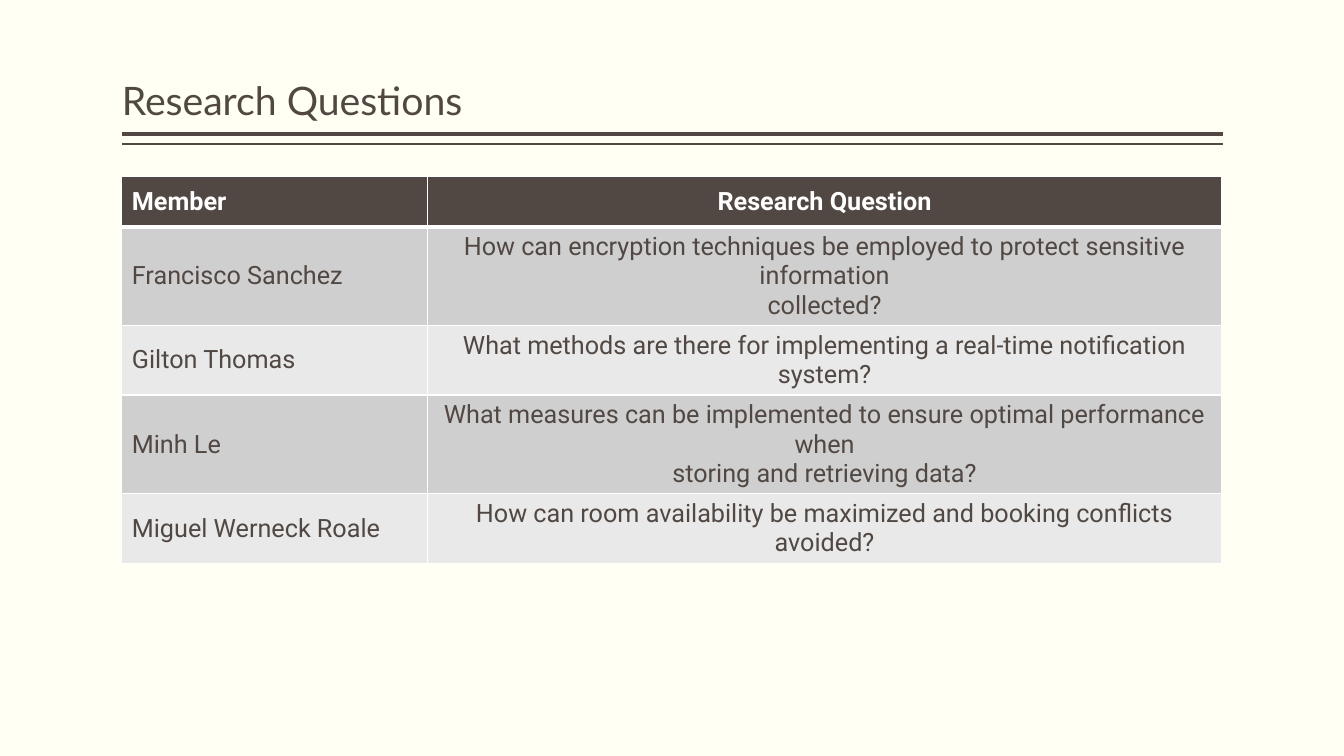
import pptx
import pptx.dml.color
import pptx.enum.shapes
import pptx.enum.text
import pptx.oxml
import pptx.oxml.ns
import pptx.util

Cm, Pt = pptx.util.Cm, pptx.util.Pt
ALIGN, ANCHOR = pptx.enum.text.PP_ALIGN, pptx.enum.text.MSO_ANCHOR

# Content
TITLE = "Research Questions"
ROWS = [
    ("Member", ["Research Question"]),
    ("Francisco Sanchez", [
        "How can encryption techniques be employed to protect sensitive information",
        "collected?"]),
    ("Gilton Thomas", [
        "What methods are there for implementing a real-time notification system?"]),
    ("Minh Le", [
        "What measures can be implemented to ensure optimal performance when",
        "storing and retrieving data?"]),
    ("Miguel Werneck Roale", [
        "How can room availability be maximized and booking conflicts avoided?"]),
]

# Formats
BROWN, WHITE, CREAM = "514843", "FFFFFF", "FFFFF3"
BANDS = ["E9E9E9", "D0CFCF"]
TITLE_FONT = {"name": "Lato", "size": Pt(28), "bold": False}
CELL_FONT = {"name": "Roboto", "size": Pt(18)}

# Layout
LEFT, WIDTH = Cm(3.07), Cm(27.74)
COLUMNS = [Cm(7.7), Cm(20.02)]
ROW_HEIGHT = Cm(1.27)
RULES = [(Cm(3.38), 3), (Cm(3.63), 1)]


def rgb(color):
    return pptx.dml.color.RGBColor.from_string(color)


def set_all(obj, values):
    for name, value in values.items():
        setattr(obj, name, value)


def write(tf, lines, font, color, align=ALIGN.LEFT, spacing=None):
    for i, line in enumerate(lines):
        p = tf.paragraphs[0] if i == 0 else tf.add_paragraph()
        set_all(p, {"alignment": align, "line_spacing": spacing})
        r = p.add_run()
        r.text = line
        set_all(r.font, font)
        r.font.color.rgb = rgb(color)


def set_borders(cell, widths):
    tc_pr = cell._tc.get_or_add_tcPr()
    for side, width in widths.items():
        tc_pr.append(pptx.oxml.parse_xml(
            f'<a:ln{side} {pptx.oxml.ns.nsdecls("a")} w="{Pt(width)}">'
            f'<a:solidFill><a:srgbClr val="{WHITE}"/></a:solidFill></a:ln{side}>'))


def add_rule(slide, y, width):
    s = slide.shapes.add_connector(
        pptx.enum.shapes.MSO_CONNECTOR.STRAIGHT, LEFT + WIDTH, y, LEFT, y)
    s.line.color.rgb = rgb(BROWN)
    s.line.width = Pt(width)
    s._element.spPr.append(pptx.oxml.parse_xml(
        f'<a:effectLst {pptx.oxml.ns.nsdecls("a")}/>'))


def add_title(slide):
    s = slide.shapes.title
    set_all(s, {"left": LEFT, "top": Cm(0.2), "width": WIDTH, "height": Cm(3.05)})
    tf = s.text_frame
    set_all(tf, {"margin_left": 0, "margin_right": 0, "word_wrap": True,
                 "vertical_anchor": ANCHOR.BOTTOM,
                 "auto_size": pptx.enum.text.MSO_AUTO_SIZE.NONE})
    write(tf, [TITLE], TITLE_FONT, BROWN, spacing=0.9)


def add_questions(slide):
    s = slide.shapes.add_table(len(ROWS), len(COLUMNS), LEFT, Cm(4.45),
                               WIDTH, ROW_HEIGHT * len(ROWS))
    table = s.table
    for column, width in zip(table.columns, COLUMNS):
        column.width = width
    for i, (member, question) in enumerate(ROWS):
        header = i == 0
        table.rows[i].height = ROW_HEIGHT
        for j, lines in enumerate([[member], question]):
            cell = table.cell(i, j)
            cell.vertical_anchor = ANCHOR.MIDDLE
            set_borders(cell, {"L": 1, "R": 1, "T": 3 if i == 1 else 1,
                               "B": 3 if header else 1})
            cell.fill.solid()
            cell.fill.fore_color.rgb = rgb(BROWN if header else BANDS[i % 2])
            write(cell.text_frame, lines, {**CELL_FONT, "bold": header},
                  WHITE if header else BROWN,
                  ALIGN.CENTER if j else ALIGN.LEFT)
    s.height = Cm(9.91)


def main():
    prs = pptx.Presentation()
    set_all(prs, {"slide_width": Cm(33.87), "slide_height": Cm(19.05)})
    slide = prs.slides.add_slide(prs.slide_layouts[5])
    slide.background.fill.solid()
    slide.background.fill.fore_color.rgb = rgb(CREAM)
    for y, width in RULES:
        add_rule(slide, y, width)
    add_title(slide)
    add_questions(slide)
    prs.save("out.pptx")


if __name__ == "__main__":
    main()
